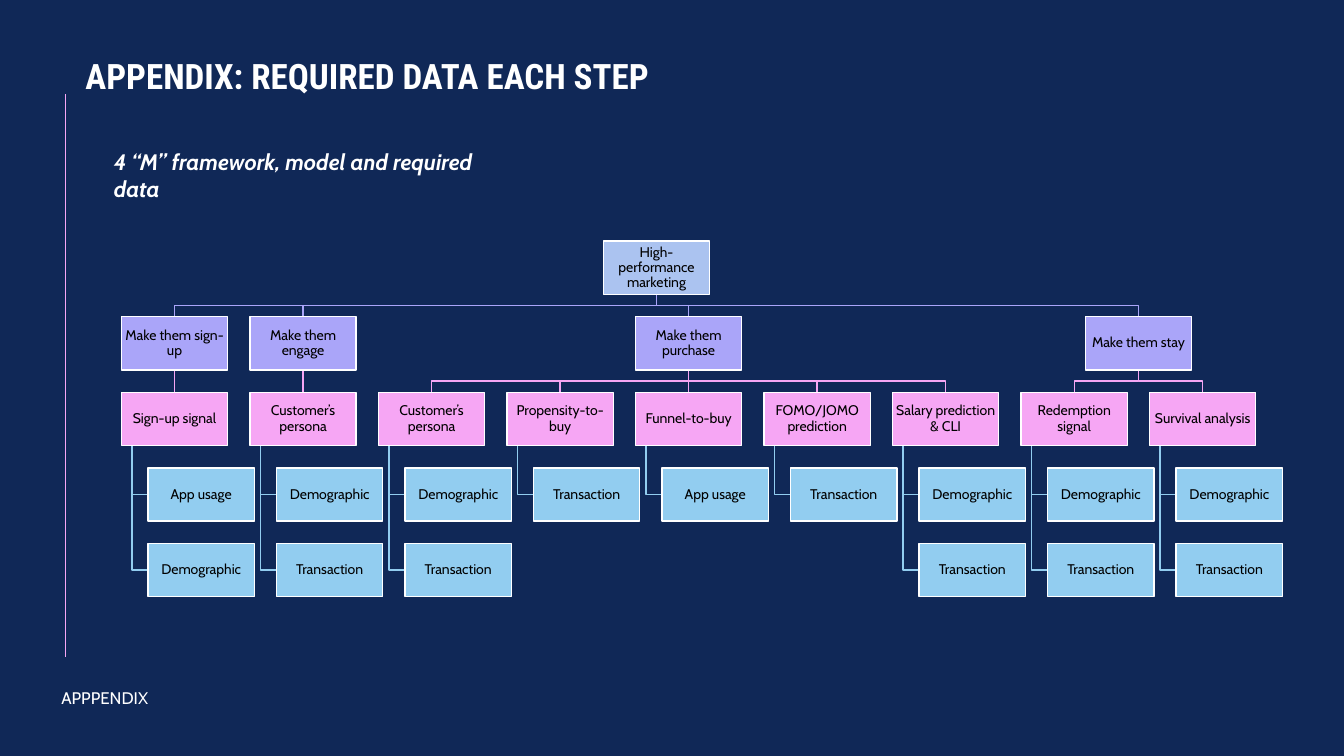
from pptx import Presentation
from pptx.dml.color import RGBColor
from pptx.enum.shapes import MSO_CONNECTOR, MSO_SHAPE
from pptx.enum.text import MSO_ANCHOR, MSO_AUTO_SIZE, PP_ALIGN
from pptx.oxml.ns import qn
from pptx.util import Pt

STRAIGHT, RECT = MSO_CONNECTOR.STRAIGHT, MSO_SHAPE.RECTANGLE
TOP, MIDDLE = MSO_ANCHOR.TOP, MSO_ANCHOR.MIDDLE
GROW, FIXED = MSO_AUTO_SIZE.SHAPE_TO_FIT_TEXT, MSO_AUTO_SIZE.NONE
CENTER = PP_ALIGN.CENTER

COLORS = {
    "background": "102857",
    "goal": "ABC3F0",
    "step": "AAA5F9",
    "model": "F6A6F4",
    "data": "92CDF0",
    "light": "FFFFFF",
    "dark": "000000",
}

# (text, (left, top, width, height), anchor, auto size, font)
TEXTS = [
    ("APPENDIX: REQUIRED DATA EACH STEP", (54, 35.3, 851.8, 37.4), TOP, GROW,
     {"name": "Roboto Condensed", "size": Pt(25), "bold": True}),
    ("4 “M” framework, model and required data", (74.2, 102.2, 302.4, 26.6), TOP, GROW,
     {"name": "Cabin", "size": Pt(16), "bold": True, "italic": True}),
    ("APPPENDIX", (36.7, 487.4, 183.6, 21.6), MIDDLE, FIXED,
     {"name": "Cabin", "size": Pt(12)}),
]

GOAL = "High-performance marketing"
# step -> [(model, required data)]
STEPS = {
    "Make them sign-up": [("Sign-up signal", ["App usage", "Demographic"])],
    "Make them engage": [("Customer’s persona", ["Demographic", "Transaction"])],
    "Make them purchase": [
        ("Customer’s persona", ["Demographic", "Transaction"]),
        ("Propensity-to-buy", ["Transaction"]),
        ("Funnel-to-buy", ["App usage"]),
        ("FOMO/JOMO prediction", ["Transaction"]),
        ("Salary prediction & CLI", ["Demographic", "Transaction"]),
    ],
    "Make them stay": [
        ("Redemption signal", ["Demographic", "Transaction"]),
        ("Survival analysis", ["Demographic", "Transaction"]),
    ],
}

BOX_W, BOX_H = 75.9, 38
FIRST_CENTER, COLUMN_PITCH = 124.7, 91.8
FIRST_TOP, ROW_PITCH = 172.2, 54
STEM_INDENT, DATA_INDENT = 7.6, 19
BOX_FONT = {"name": "Cabin", "size": Pt(10)}


def rgb(name):
    return RGBColor.from_string(COLORS[name])


def row_top(row):
    return FIRST_TOP + row * ROW_PITCH


def set_font(font, values, color):
    for key, value in values.items():
        setattr(font, key, value)
    font.color.rgb = rgb(color)


def add_line(s, start, end, color, width):
    line = s.shapes.add_connector(STRAIGHT, *(Pt(v) for v in start + end))
    line.line.color.rgb = rgb(color)
    line.line.width = Pt(width)
    line._element.spPr.append(line._element.makeelement(qn("a:effectLst"), {}))


def add_link(s, points, color):
    """Draw a bent link, or a plain line when all points share one x."""
    if len({x for x, _ in points}) == 1:
        add_line(s, points[0], points[-1], color, 1)
        return
    corners = [(Pt(x), Pt(y)) for x, y in points]
    builder = s.shapes.build_freeform(*corners[0])
    builder.add_line_segments(corners[1:], close=False)
    link = builder.convert_to_shape()
    link.shadow.inherit = False
    link.fill.background()
    link.line.color.rgb = rgb(color)
    link.line.width = Pt(1)


def link_down(s, parent_x, child_x, child_row, color):
    start = row_top(child_row - 1) + BOX_H
    end = row_top(child_row)
    middle = (start + end) / 2
    add_link(s, [(parent_x, start), (parent_x, middle), (child_x, middle), (child_x, end)], color)


def add_box(s, text, center, row, color):
    box = s.shapes.add_shape(RECT, Pt(center - BOX_W / 2), Pt(row_top(row)), Pt(BOX_W), Pt(BOX_H))
    box.shadow.inherit = False
    box.fill.solid()
    box.fill.fore_color.rgb = rgb(color)
    box.line.color.rgb = rgb("light")
    box.line.width = Pt(1)
    tf = box.text_frame
    tf.word_wrap = True
    tf.vertical_anchor = MIDDLE
    for side in ("left", "top", "right", "bottom"):
        setattr(tf, f"margin_{side}", Pt(0.5))
    p = tf.paragraphs[0]
    p.alignment = CENTER
    p.line_spacing = 0.9
    r = p.add_run()
    r.text = text
    set_font(r.font, BOX_FONT, "dark")


def add_tree(s):
    boxes = []
    step_centers = []
    column = 0
    for step, models in STEPS.items():
        centers = [round(FIRST_CENTER + (column + i) * COLUMN_PITCH, 2) for i in range(len(models))]
        column += len(models)
        step_x = round((centers[0] + centers[-1]) / 2, 2)
        step_centers.append(step_x)
        boxes.append((step, step_x, 1, "step"))
        for (model, sources), x in zip(models, centers):
            link_down(s, step_x, x, 2, "model")
            boxes.append((model, x, 2, "model"))
            stem = x - BOX_W / 2 + STEM_INDENT
            data_x = x + DATA_INDENT
            for row, source in enumerate(sources, start=3):
                y = row_top(row) + BOX_H / 2
                add_link(s, [(stem, row_top(2) + BOX_H), (stem, y), (data_x - BOX_W / 2, y)], "data")
                boxes.append((source, data_x, row, "data"))

    goal_x = (step_centers[0] + step_centers[-1]) / 2
    for x in step_centers:
        link_down(s, goal_x, x, 1, "step")
    add_box(s, GOAL, goal_x, 0, "goal")
    for box in boxes:
        add_box(s, *box)


def add_text(s, text, place, anchor, auto_size, font):
    tf = s.shapes.add_textbox(*(Pt(v) for v in place)).text_frame
    tf.word_wrap = True
    tf.auto_size = auto_size
    tf.vertical_anchor = anchor
    r = tf.paragraphs[0].add_run()
    r.text = text
    set_font(r.font, font, "light")


def main():
    prs = Presentation()
    prs.slide_width, prs.slide_height = Pt(960), Pt(540)
    s = prs.slides.add_slide(prs.slide_layouts[6])
    s.background.fill.solid()
    s.background.fill.fore_color.rgb = rgb("background")
    add_line(s, (46.8, 67), (46.8, 469.4), "model", 0.5)
    add_tree(s)
    for item in TEXTS:
        add_text(s, *item)
    prs.save("out.pptx")


if __name__ == "__main__":
    main()
